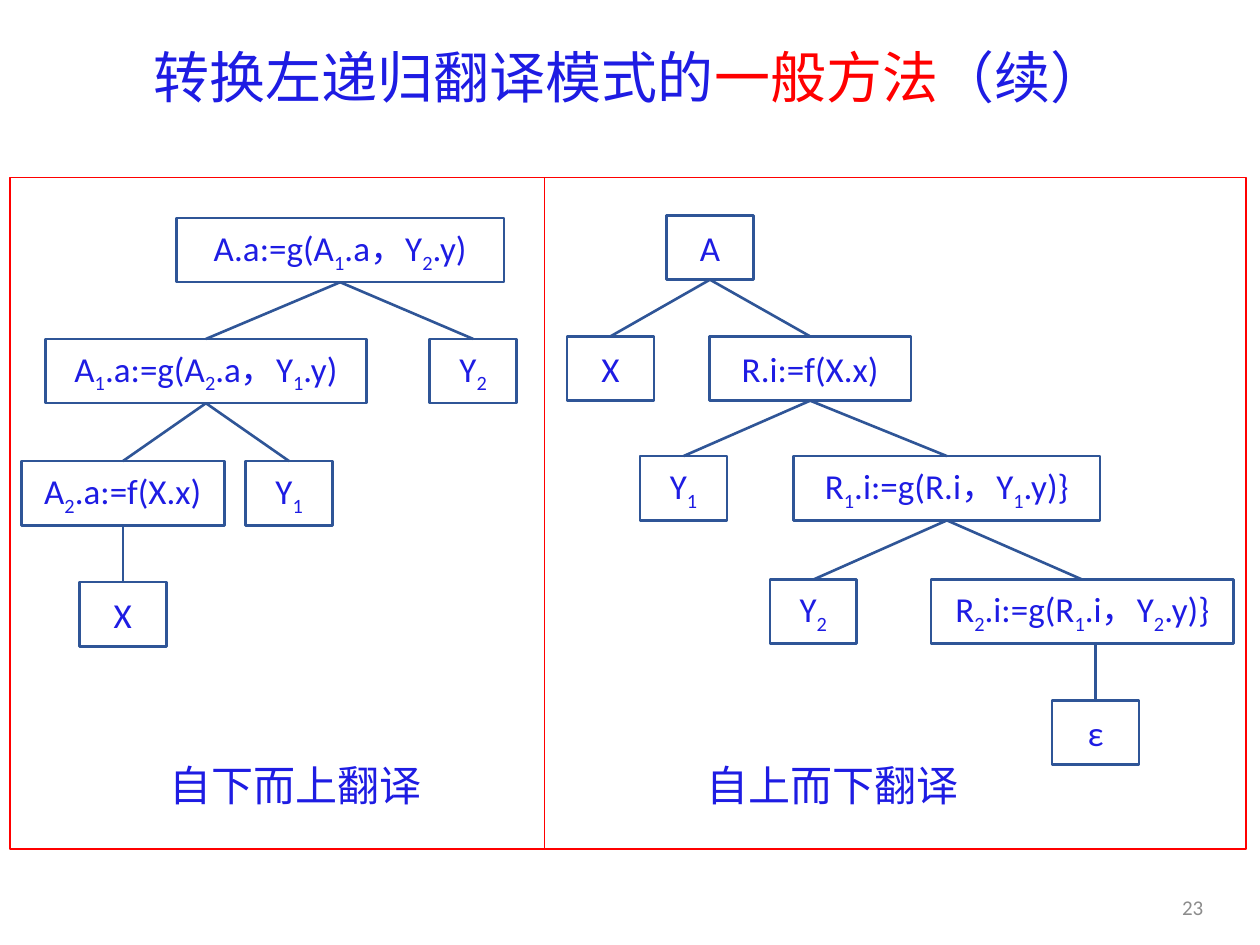
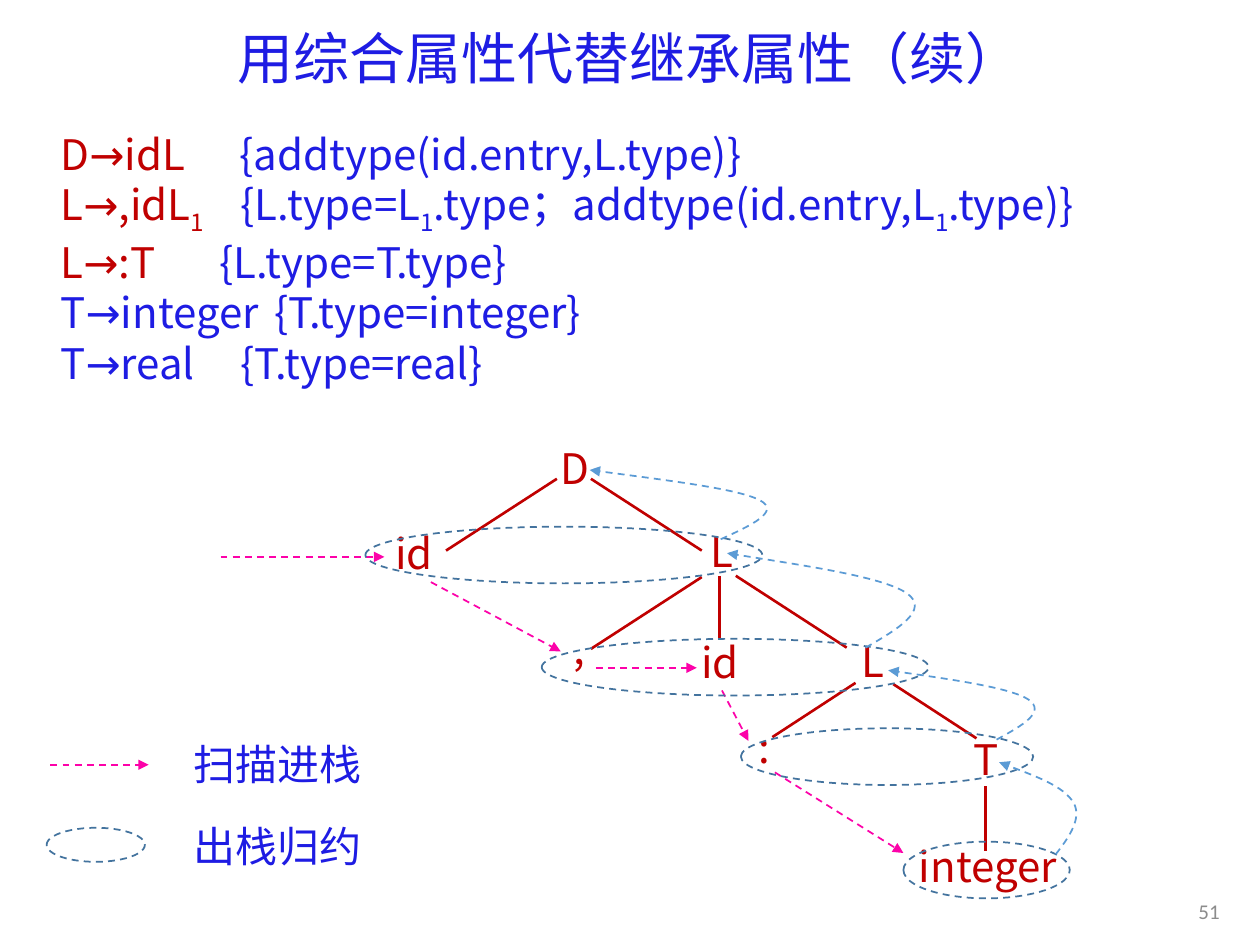
import dataclasses
import pptx
import pptx.dml.color
import pptx.enum.dml
import pptx.enum.shapes
import pptx.enum.text
import pptx.oxml
import pptx.oxml.ns
import pptx.util
from pptx.util import Inches


@dataclasses.dataclass(frozen=True)
class Theme:
    blue: str = "1E1CE3"
    red: str = "FF0000"
    dark_red: str = "C00000"
    grey: str = "8C8C8C"
    box_line: str = "2F5597"
    ellipse_line: str = "43739E"
    reduce_line: str = "5B9BD5"
    scan_line: str = "FC02A9"
    title_font: str = "Noto Sans CJK JP"
    text_font: str = "Noto Sans CJK SC"
    node_font: str = "Calibri"
    arrow_font: str = "Comic Neue"
    title_size: int = 32
    text_size: int = 24
    node_size: int = 20
    number_size: int = 12


theme = Theme()
qn = pptx.oxml.ns.qn
ALIGN = pptx.enum.text.PP_ALIGN
ANCHOR = pptx.enum.text.MSO_ANCHOR
SHAPE = pptx.enum.shapes.MSO_SHAPE
STRAIGHT = pptx.enum.shapes.MSO_CONNECTOR.STRAIGHT


def write(shape, lines, font, size, align=ALIGN.CENTER, anchor=ANCHOR.MIDDLE):
    frame = shape.text_frame
    frame.word_wrap = True
    frame.vertical_anchor = anchor
    frame.margin_left = frame.margin_right = frame.margin_top = frame.margin_bottom = 0
    for index, line in enumerate(lines):
        paragraph = frame.add_paragraph() if index else frame.paragraphs[0]
        paragraph.alignment = align
        for text, color in line:
            pieces = []
            for position, part in enumerate(text.split("_")):
                pieces += [(part[0], True), (part[1:], False)] if position else [(part, False)]
            for piece, lowered in pieces:
                before, arrow, after = piece.partition("→")
                for words in filter(None, (before, arrow, after)):
                    run = paragraph.add_run()
                    run.text = words
                    run.font.size = pptx.util.Pt(size)
                    run.font.color.rgb = pptx.dml.color.RGBColor.from_string(color)
                    run.font.name = theme.arrow_font if words == "→" else font
                    properties = run._r.get_or_add_rPr()
                    east_asian = pptx.oxml.parse_xml(f'<a:ea {pptx.oxml.ns.nsdecls("a")}/>')
                    east_asian.set("typeface", theme.text_font if font == theme.node_font else run.font.name)
                    properties.append(east_asian)
                    if lowered:
                        properties.set("baseline", "-25000")


def outline(shape, color, width, dashed=False, arrow=False):
    shape.line.color.rgb = pptx.dml.color.RGBColor.from_string(color)
    shape.line.width = pptx.util.Pt(width)
    if dashed:
        shape.line.dash_style = pptx.enum.dml.MSO_LINE.DASH
    if arrow:
        tail = pptx.oxml.parse_xml(f'<a:tailEnd {pptx.oxml.ns.nsdecls("a")} type="triangle"/>')
        shape.line._get_or_add_ln().append(tail)
    if hasattr(shape, "fill"):
        shape.shadow.inherit = False
        shape.fill.background()
    else:
        shape._element.spPr.append(pptx.oxml.parse_xml(f'<a:effectLst {pptx.oxml.ns.nsdecls("a")}/>'))


presentation = pptx.Presentation()
presentation.slide_width = Inches(10)
presentation.slide_height = Inches(7.5)

headings = [
    ((0.69, 0.27, 8.62, 0.73),
     [("转换左递归翻译模式的", theme.blue), ("一般方法", theme.red), ("（续）", theme.blue)],
     "23", (9.02, 7, 0.53, 0.4)),
    ((0.69, 0.08, 8.62, 0.81),
     [("用综合属性代替继承属性（续）", theme.blue)],
     "51", (9.3, 7.03, 0.38, 0.4)),
]
for title_box, title_runs, number, number_box in headings:
    slide = presentation.slides.add_slide(presentation.slide_layouts[5])
    title = slide.shapes.title
    title.left, title.top, title.width, title.height = map(Inches, title_box)
    write(title, [title_runs], theme.title_font, theme.title_size)
    title.text_frame.paragraphs[0].line_spacing = 0.9
    number_shape = slide.shapes.add_textbox(*map(Inches, number_box))
    write(number_shape, [[(number, theme.grey)]], theme.node_font, theme.number_size, ALIGN.RIGHT)

tree_slide, grammar_slide = presentation.slides

node_height = 0.51
small = 0.69
bottom_up_tree = [
    (1.4, 1.73, 2.6, "A.a:=g(A_1.a，Y_2.y)", None),
    (0.36, 2.69, 2.55, "A_1.a:=g(A_2.a，Y_1.y)", 0),
    (3.41, 2.69, small, "Y_2", 0),
    (0.17, 3.66, 1.61, "A_2.a:=f(X.x)", 1),
    (1.95, 3.66, small, "Y_1", 1),
    (0.63, 4.62, small, "X", 3),
]
top_down_tree = [
    (5.29, 1.71, small, "A", None),
    (4.5, 2.67, small, "X", 0),
    (5.63, 2.67, 1.6, "R.i:=f(X.x)", 0),
    (5.08, 3.62, small, "Y_1", 2),
    (6.3, 3.62, 2.43, "R_1.i:=g(R.i，Y_1.y)}", 2),
    (6.11, 4.6, small, "Y_2", 4),
    (7.39, 4.6, 2.4, "R_2.i:=g(R_1.i，Y_2.y)}", 4),
    (8.35, 5.56, small, "ε", 6),
]
for tree in (bottom_up_tree, top_down_tree):
    parents = [node[4] for node in tree]
    for left, top, width, text, parent in tree:
        node = tree_slide.shapes.add_shape(SHAPE.RECTANGLE, *map(Inches, (left, top, width, node_height)))
        outline(node, theme.box_line, 1.5)
        write(node, [[(text, theme.blue)]], theme.node_font, theme.node_size)
        if parent is not None:
            parent_left, parent_top, parent_width = tree[parent][:3]
            center = left + width / 2
            start = center if parents.count(parent) == 1 else parent_left + parent_width / 2
            edge = tree_slide.shapes.add_connector(
                STRAIGHT, *map(Inches, (start, parent_top + node_height, center, top)))
            outline(edge, theme.box_line, 1.5)

for left, caption in [(0.94, "自下而上翻译"), (5.2, "自上而下翻译")]:
    caption_shape = tree_slide.shapes.add_textbox(*map(Inches, (left, 5.96, 2.81, 0.54)))
    write(caption_shape, [[(caption, theme.blue)]], theme.text_font, theme.text_size)

frame_shape = tree_slide.shapes.add_shape(SHAPE.RECTANGLE, *map(Inches, (0.08, 1.41, 9.81, 5.33)))
outline(frame_shape, theme.red, 1)
divider = tree_slide.shapes.add_connector(STRAIGHT, *map(Inches, (4.32, 1.41, 4.32, 6.74)))
outline(divider, theme.red, 0.5)

rules = [
    ("D→idL", theme.dark_red, "{addtype(id.entry,L.type)}", 1.42),
    ("L→,idL_1", theme.dark_red, "{L.type=L_1.type；addtype(id.entry,L_1.type)}", 1.43),
    ("L→:T", theme.dark_red, "{L.type=T.type}", 1.26),
    ("T→integer", theme.blue, "{T.type=integer}", 1.7),
    ("T→real", theme.blue, "{T.type=real}", 1.43),
]
grammar = grammar_slide.shapes.add_textbox(*map(Inches, (0.48, 1.02, 9.12, 2.5)))
write(grammar, [[(rule, color), ("\t" + action, theme.blue)] for rule, color, action, tab in rules],
      theme.text_font, theme.text_size, ALIGN.LEFT, ANCHOR.TOP)
for paragraph, rule in zip(grammar.text_frame.paragraphs, rules):
    paragraph._p.get_or_add_pPr().append(pptx.oxml.parse_xml(
        f'<a:tabLst {pptx.oxml.ns.nsdecls("a")}><a:tab pos="{Inches(rule[3])}" algn="l"/></a:tabLst>'))

labels = [
    (4.34, 3.54, 0.44, 0.34, "D", theme.dark_red),
    (2.95, 4.22, 0.67, 0.33, "id", theme.dark_red),
    (5.51, 4.2, 0.44, 0.34, "L", theme.dark_red),
    (5.38, 5.07, 0.67, 0.37, "id", theme.dark_red),
    (4.38, 4.97, 0.44, 0.34, ",", theme.dark_red),
    (6.71, 5.07, 0.44, 0.34, "L", theme.dark_red),
    (5.85, 5.76, 0.44, 0.34, ":", theme.dark_red),
    (7.61, 5.85, 0.44, 0.34, "T", theme.dark_red),
    (7.1, 6.66, 1.48, 0.42, "integer", theme.dark_red),
    (1.24, 5.82, 1.93, 0.48, "扫描进栈", theme.blue),
    (1.24, 6.47, 1.93, 0.48, "出栈归约", theme.blue),
]
for *box, text, color in labels:
    label = grammar_slide.shapes.add_textbox(*map(Inches, box))
    write(label, [[(text, color)]], theme.text_font, theme.text_size)

branches = [
    (4.42, 3.8, 3.54, 4.37), (4.69, 3.8, 5.57, 4.37),
    (5.57, 4.58, 4.69, 5.15), (5.71, 4.57, 5.71, 5.08), (5.84, 4.57, 6.72, 5.14),
    (6.79, 5.42, 6.13, 5.85), (7.09, 5.43, 7.75, 5.86), (7.82, 6.24, 7.82, 6.75),
]
for ends in branches:
    branch = grammar_slide.shapes.add_connector(STRAIGHT, *map(Inches, ends))
    outline(branch, theme.dark_red, 1.5)

scan_arrows = [
    (1.75, 4.42, 3.05, 4.42), (3.42, 4.62, 4.45, 5.17), (4.73, 5.3, 5.53, 5.3),
    (5.73, 5.48, 5.94, 5.88), (6.15, 6.13, 7.17, 6.77), (0.4, 6.07, 1.18, 6.07),
]
for ends in scan_arrows:
    scan_arrow = grammar_slide.shapes.add_connector(STRAIGHT, *map(Inches, ends))
    outline(scan_arrow, theme.scan_line, 1, dashed=True, arrow=True)

ellipses = [
    (0.37, 6.57, 0.78, 0.27), (7.17, 6.68, 1.32, 0.45), (5.88, 5.78, 2.32, 0.45),
    (4.3, 5.07, 3.07, 0.45), (2.9, 4.18, 3.15, 0.45),
]
for box in ellipses:
    ellipse = grammar_slide.shapes.add_shape(SHAPE.OVAL, *map(Inches, box))
    outline(ellipse, theme.ellipse_line, 1, dashed=True)

reduce_curves = [
    [(8.38, 6.78), (8.49, 6.64), (8.59, 6.49), (8.52, 6.37), (8.44, 6.24), (8.19, 6.15), (7.93, 6.05)],
    [(7.91, 5.87), (8.11, 5.76), (8.31, 5.65), (8.16, 5.55), (8.02, 5.46), (7.54, 5.39), (7.05, 5.32)],
    [(6.87, 5.14), (7.13, 4.99), (7.38, 4.84), (7.2, 4.71), (7.01, 4.58), (6.39, 4.49), (5.77, 4.39)],
    [(5.72, 4.28), (5.96, 4.17), (6.2, 4.06), (6.03, 3.97), (5.86, 3.88), (5.27, 3.81), (4.68, 3.73)],
]
for points in reduce_curves:
    start, *others = [(Inches(x), Inches(y)) for x, y in points]
    builder = grammar_slide.shapes.build_freeform(*start)
    builder.add_line_segments(others, close=False)
    curve = builder.convert_to_shape()
    segments = list(curve._element.iter(qn("a:lnTo")))
    for first in range(0, len(segments), 3):
        bezier = pptx.oxml.parse_xml(f'<a:cubicBezTo {pptx.oxml.ns.nsdecls("a")}/>')
        segments[first].addprevious(bezier)
        for segment in segments[first:first + 3]:
            bezier.append(segment[0])
            segment.getparent().remove(segment)
    outline(curve, theme.reduce_line, 1, dashed=True, arrow=True)

presentation.save("out.pptx")
